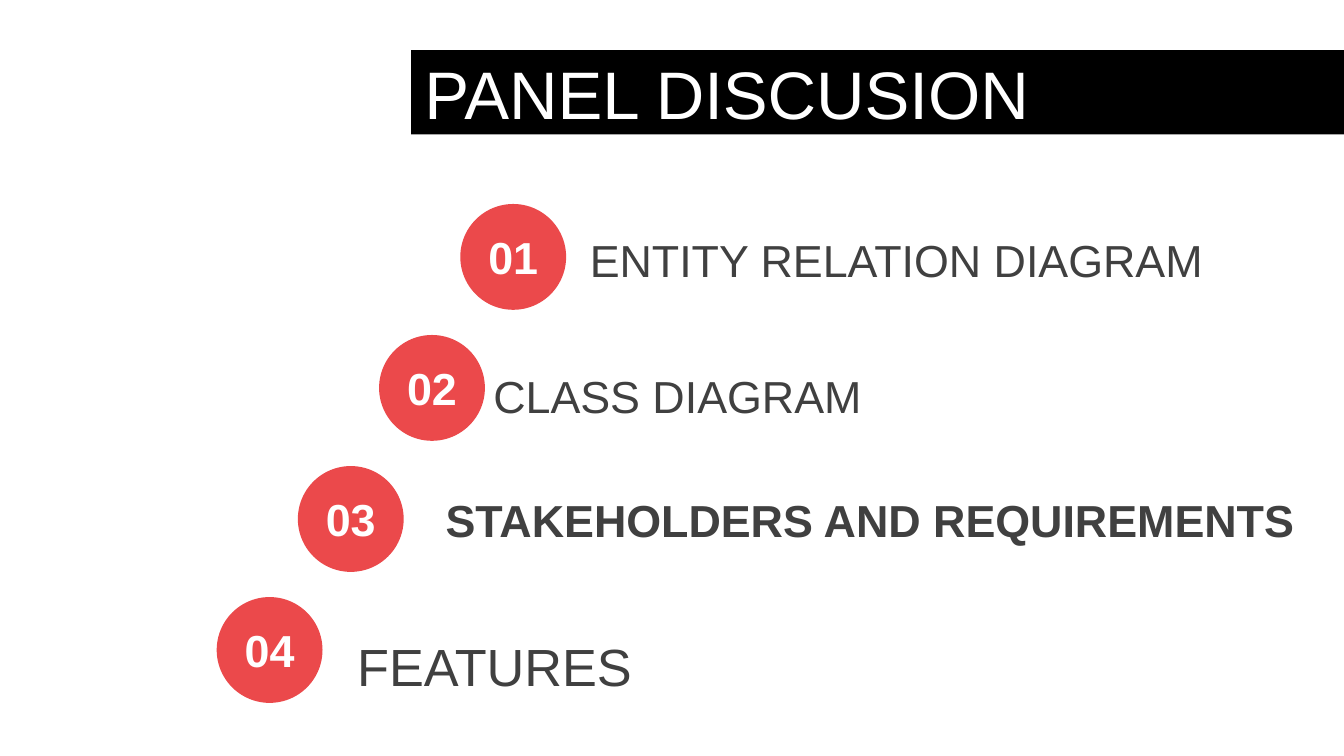
from pptx import Presentation
from pptx.dml.color import RGBColor
from pptx.enum.shapes import MSO_SHAPE as Shape
from pptx.enum.text import MSO_ANCHOR as Anchor, MSO_AUTO_SIZE as AutoSize, PP_ALIGN as Align
from pptx.util import Pt

COLORS = {"bar": "000000", "badge": "EB494B", "light": "FFFFFF", "label": "404040"}
BADGE_SIZE = 56.7
AGENDA = [
    ("ENTITY RELATION DIAGRAM", 308.9, 121, 363, 36, 24, False),
    ("CLASS DIAGRAM", 257.2, 193.7, 363, 36, 24, False),
    ("STAKEHOLDERS AND REQUIREMENTS", 231.6, 260.6, 480, 36, 24, True),
    ("FEATURES", 184.3, 336.2, 363, 41, 28, False),
]


class AgendaSlide:
    """Holds the slide and the style shared by its elements."""

    def __init__(self, deck, font="Arial"):
        self.slide = deck.slides.add_slide(deck.slide_layouts[5])
        self.font = font

    def paint(self, shape, color):
        shape.fill.solid()
        shape.fill.fore_color.rgb = RGBColor.from_string(COLORS[color])

    def set_text(self, shape, text, size, color, bold=False, align=Align.LEFT):
        frame = shape.text_frame
        frame.text = text
        frame.word_wrap = True
        frame.vertical_anchor = Anchor.MIDDLE
        para = frame.paragraphs[0]
        para.alignment = align
        para.font.name = self.font
        para.font.size = Pt(size)
        para.font.bold = bold
        para.font.color.rgb = RGBColor.from_string(COLORS[color])

    def title(self, text, left, top, width, height):
        box = self.slide.shapes.title
        box.left, box.top, box.width, box.height = map(Pt, (left, top, width, height))
        self.paint(box, "bar")
        self.set_text(box, text, 36, "light")
        box.text_frame.auto_size = AutoSize.NONE

    def label(self, text, left, top, width, height, size, color, bold, align=Align.LEFT):
        box = self.slide.shapes.add_textbox(*map(Pt, (left, top, width, height)))
        self.set_text(box, text, size, color, bold, align)
        box.text_frame.auto_size = AutoSize.SHAPE_TO_FIT_TEXT

    def badge(self, number, left, top):
        bounds = map(Pt, (left, top, BADGE_SIZE, BADGE_SIZE))
        circle = self.slide.shapes.add_shape(Shape.OVAL, *bounds)
        circle.shadow.inherit = False
        self.paint(circle, "badge")
        circle.line.fill.background()
        self.label(f"{number:02}", left, top + 10, BADGE_SIZE, 36, 24, "light", True, Align.CENTER)


def main():
    deck = Presentation()
    deck.slide_width, deck.slide_height = Pt(720), Pt(405)
    agenda = AgendaSlide(deck)
    agenda.title("PANEL DISCUSION", 220.2, 26.8, 499.8, 45.2)
    for index, (text, left, top, width, height, size, bold) in enumerate(AGENDA):
        agenda.badge(index + 1, 246.6 - 43.5 * index, 109.3 + 70.2 * index)
        agenda.label(text, left, top, width, height, size, "label", bold)
    deck.save("out.pptx")


if __name__ == "__main__":
    main()
